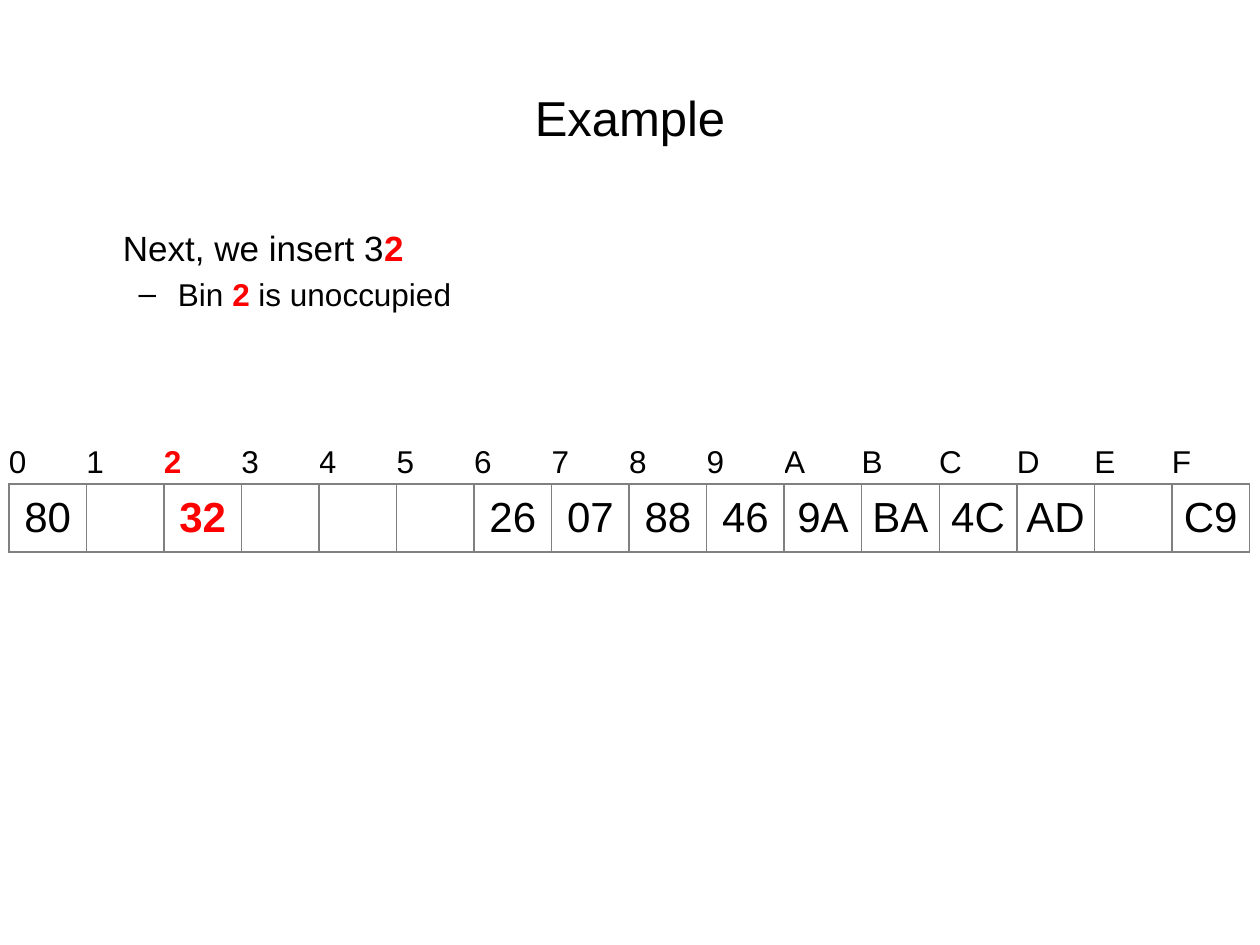
"""Build a slide showing one insertion into a hash table of sixteen bins."""
from lxml import etree
from pptx import Presentation
from pptx.dml.color import RGBColor
from pptx.enum.text import MSO_ANCHOR as Anchor, PP_ALIGN as Align
from pptx.oxml.ns import qn
from pptx.util import Inches, Pt

BLACK, RED, GRAY = "000000", "FF0000", "808080"
BINS = "0123456789ABCDEF"
CONTENTS = {"0": "80", "2": "32", "6": "26", "7": "07", "8": "88", "9": "46",
            "A": "9A", "B": "BA", "C": "4C", "D": "AD", "F": "C9"}
INSERTED = "2"


def set_attributes(target, values):
    """Set every attribute named in a dict."""
    for name, value in values.items():
        setattr(target, name, value)


def set_color(font, color):
    """Colour a font from a hex string."""
    font.color.rgb = RGBColor.from_string(color)


def add_run(paragraph, text, size, marked=False):
    """Add a run, bold and red when marked."""
    run = paragraph.add_run()
    run.text = text
    set_attributes(run.font, {"name": "Arial", "size": Pt(size), "bold": marked})
    set_color(run.font, RED if marked else BLACK)


def place(shape, left, top, width, height):
    """Move and size a shape, given inches."""
    set_attributes(shape, {"left": Inches(left), "top": Inches(top),
                           "width": Inches(width), "height": Inches(height)})


def fill_title(shape, text):
    """Place and write the title."""
    place(shape, 0.5, 0.3, 9, 1.25)
    shape.text_frame.vertical_anchor = Anchor.MIDDLE
    paragraph = shape.text_frame.paragraphs[0]
    paragraph.alignment = Align.CENTER
    add_run(paragraph, text, 28)


def fill_body(shape):
    """Write the step and its explanation in the body."""
    place(shape, 0.5, 1.75, 9, 4.95)
    step = shape.text_frame.paragraphs[0]
    step.space_before = Pt(0)
    properties = step._p.get_or_add_pPr()
    properties.set("indent", "0")
    etree.SubElement(properties, qn("a:buNone"))
    add_run(step, "Next, we insert 3", 20)
    add_run(step, "2", 20, marked=True)
    detail = shape.text_frame.add_paragraph()
    detail.level = 1
    add_run(detail, "Bin ", 18)
    add_run(detail, "2", 18, marked=True)
    add_run(detail, " is unoccupied", 18)


def add_borders(cell, color):
    """Draw a one-point line on all sides of a cell."""
    properties = cell._tc.get_or_add_tcPr()
    for side in ("lnL", "lnR", "lnT", "lnB"):
        line = etree.SubElement(properties, qn(f"a:{side}"), w=str(Pt(1)))
        fill = etree.SubElement(line, qn("a:solidFill"))
        etree.SubElement(fill, qn("a:srgbClr"), val=color)


def fill_cell(cell, text, size, alignment, marked):
    """Write a cell without margins or fill."""
    cell.fill.background()
    set_attributes(cell, {"vertical_anchor": Anchor.MIDDLE, "margin_left": 0,
                          "margin_right": 0, "margin_top": 0, "margin_bottom": 0})
    paragraph = cell.text_frame.paragraphs[0]
    paragraph.alignment = alignment
    if text:
        add_run(paragraph, text, size, marked)


def add_bins(slide):
    """Add the table of bin numbers and their contents."""
    width = 9.85
    frame = slide.shapes.add_table(2, len(BINS), Inches(0.07), Inches(3.51),
                                   Inches(width), Inches(0.87))
    table = frame.table
    set_attributes(table, {"first_row": False, "horz_banding": False})
    for row, height in zip(table.rows, (0.33, 0.54)):
        row.height = Inches(height)
    for index, name in enumerate(BINS):
        table.columns[index].width = Inches(width / len(BINS))
        marked = name == INSERTED
        add_borders(table.cell(1, index), GRAY)
        fill_cell(table.cell(0, index), name, 18, Align.LEFT, marked)
        fill_cell(table.cell(1, index), CONTENTS.get(name), 24, Align.CENTER, marked)


def main():
    """Build and save the slide."""
    presentation = Presentation()
    set_attributes(presentation, {"slide_width": Inches(10),
                                  "slide_height": Inches(7.5)})
    slide = presentation.slides.add_slide(presentation.slide_layouts[1])
    fill_title(slide.shapes.title, "Example")
    fill_body(slide.placeholders[1])
    add_bins(slide)
    presentation.save("out.pptx")


if __name__ == "__main__":
    main()
